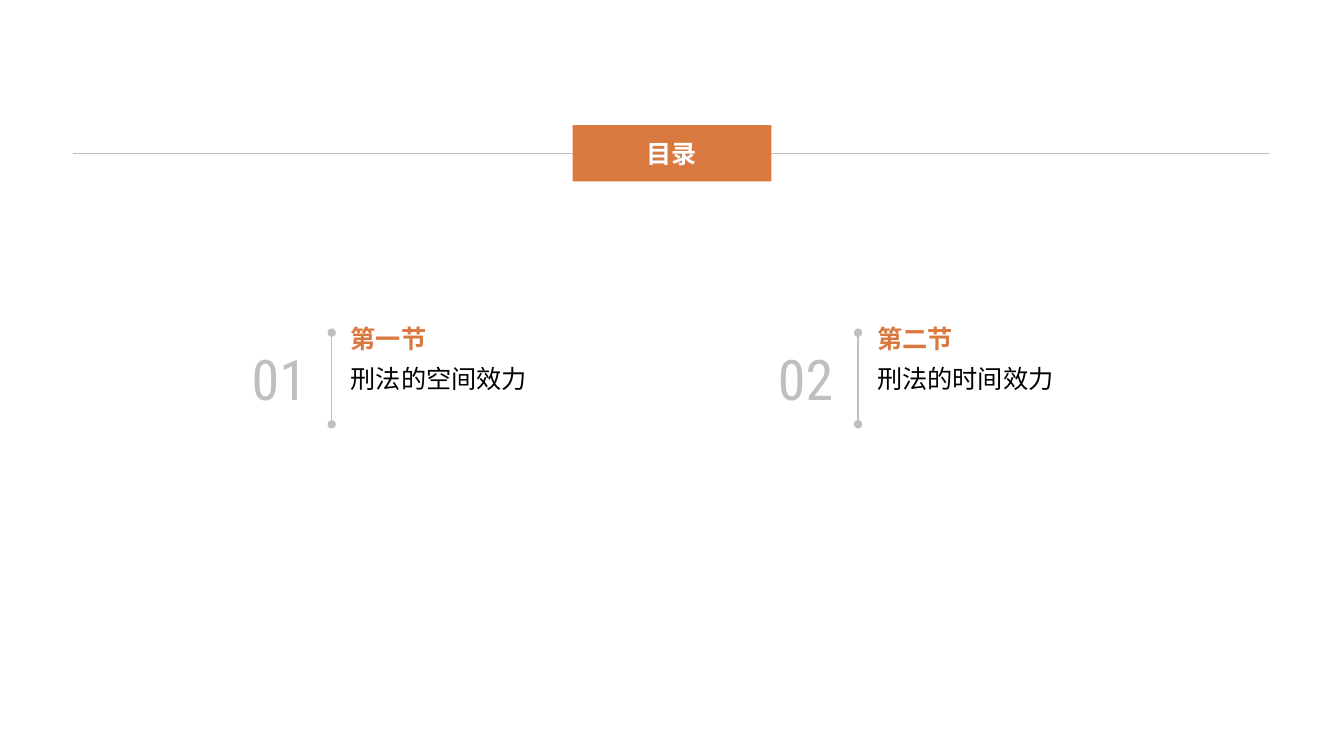
from dataclasses import dataclass

from pptx import Presentation
from pptx.dml.color import RGBColor
from pptx.enum.shapes import MSO_CONNECTOR
from pptx.enum.text import MSO_ANCHOR, MSO_AUTO_SIZE, PP_ALIGN
from pptx.oxml import parse_xml
from pptx.oxml.ns import nsdecls, qn
from pptx.util import Inches, Pt


@dataclass(frozen=True)
class Theme:
    accent: RGBColor = RGBColor(0xD9, 0x79, 0x3F)
    gray: RGBColor = RGBColor(0xBF, 0xBF, 0xBF)
    black: RGBColor = RGBColor(0, 0, 0)
    white: RGBColor = RGBColor(0xFF, 0xFF, 0xFF)
    text_font: str = "Noto Sans CJK SC"
    number_font: str = "Roboto Condensed"
    text_size: int = 18
    number_size: int = 40


THEME = Theme()
SECTIONS = [
    ("01", "第一节", "刑法的空间效力"),
    ("02", "第二节", "刑法的时间效力"),
]
FIRST_LEFT = 2.36
SECTION_STEP = 5.22


def write_text(shape, text, color, align, anchor, bold=False,
               font_name=THEME.text_font, size=THEME.text_size):
    frame = shape.text_frame
    frame.word_wrap = True
    frame.auto_size = MSO_AUTO_SIZE.NONE
    frame.vertical_anchor = anchor
    paragraph = frame.paragraphs[0]
    paragraph.alignment = align
    run = paragraph.add_run()
    run.text = text
    font = run.font
    font.name, font.size, font.bold = font_name, Pt(size), bold
    font.color.rgb = color
    # Chinese characters take the East Asian typeface
    font._element.find(qn("a:latin")).addnext(
        parse_xml(f'<a:ea {nsdecls("a")} typeface="{font_name}"/>'))


def add_text(slide, left, top, width, height, *args, **kwargs):
    box = slide.shapes.add_textbox(
        Inches(left), Inches(top), Inches(width), Inches(height))
    write_text(box, *args, **kwargs)


def add_line(slide, start, end, width, dotted_ends=False):
    line = slide.shapes.add_connector(
        MSO_CONNECTOR.STRAIGHT, *(Inches(value) for value in start + end))
    line.line.color.rgb = THEME.gray
    line.line.width = Pt(width)
    if dotted_ends:
        outline = line.line._get_or_add_ln()
        for tag in ("headEnd", "tailEnd"):
            outline.append(parse_xml(f'<a:{tag} {nsdecls("a")} type="oval"/>'))
    line._element.spPr.append(parse_xml(f'<a:effectLst {nsdecls("a")}/>'))
    return line


def format_title(slide, text):
    # Title placeholder shaped as a pill
    title = slide.shapes.title
    title.left, title.top = Inches(5.68), Inches(1.24)
    title.width, title.height = Inches(1.97), Inches(0.56)
    title._element.spPr.append(parse_xml(
        f'<a:prstGeom {nsdecls("a")} prst="roundRect"><a:avLst>'
        '<a:gd name="adj" fmla="val 50000"/></a:avLst></a:prstGeom>'))
    title.fill.solid()
    title.fill.fore_color.rgb = THEME.accent
    title.line.fill.background()
    write_text(title, text, THEME.white, PP_ALIGN.CENTER, MSO_ANCHOR.MIDDLE,
               bold=True)

    # Rule running behind the pill
    rule = add_line(slide, (0.72, 1.52), (12.6, 1.52), 0.25)
    title._element.addprevious(rule._element)


def add_section(slide, left, number, heading, topic):
    text_left = left + 1.02
    divider = left + 0.93
    add_text(slide, left, 3.3, 0.82, 0.91, number, THEME.gray,
             PP_ALIGN.CENTER, MSO_ANCHOR.MIDDLE,
             font_name=THEME.number_font, size=THEME.number_size)
    add_text(slide, text_left, 3.16, 3.11, 0.4, heading, THEME.accent,
             PP_ALIGN.LEFT, MSO_ANCHOR.BOTTOM, bold=True)
    add_text(slide, text_left, 3.56, 3.11, 0.64, topic, THEME.black,
             PP_ALIGN.JUSTIFY, MSO_ANCHOR.TOP)
    add_line(slide, (divider, 3.3), (divider, 4.21), 1, dotted_ends=True)


def main():
    presentation = Presentation()
    presentation.slide_width = Inches(13.33)
    presentation.slide_height = Inches(7.5)
    slide = presentation.slides.add_slide(presentation.slide_layouts[5])

    format_title(slide, "目录")

    # Contents entries, evenly spaced
    for index, section in enumerate(SECTIONS):
        add_section(slide, FIRST_LEFT + index * SECTION_STEP, *section)

    presentation.save("out.pptx")


if __name__ == "__main__":
    main()
